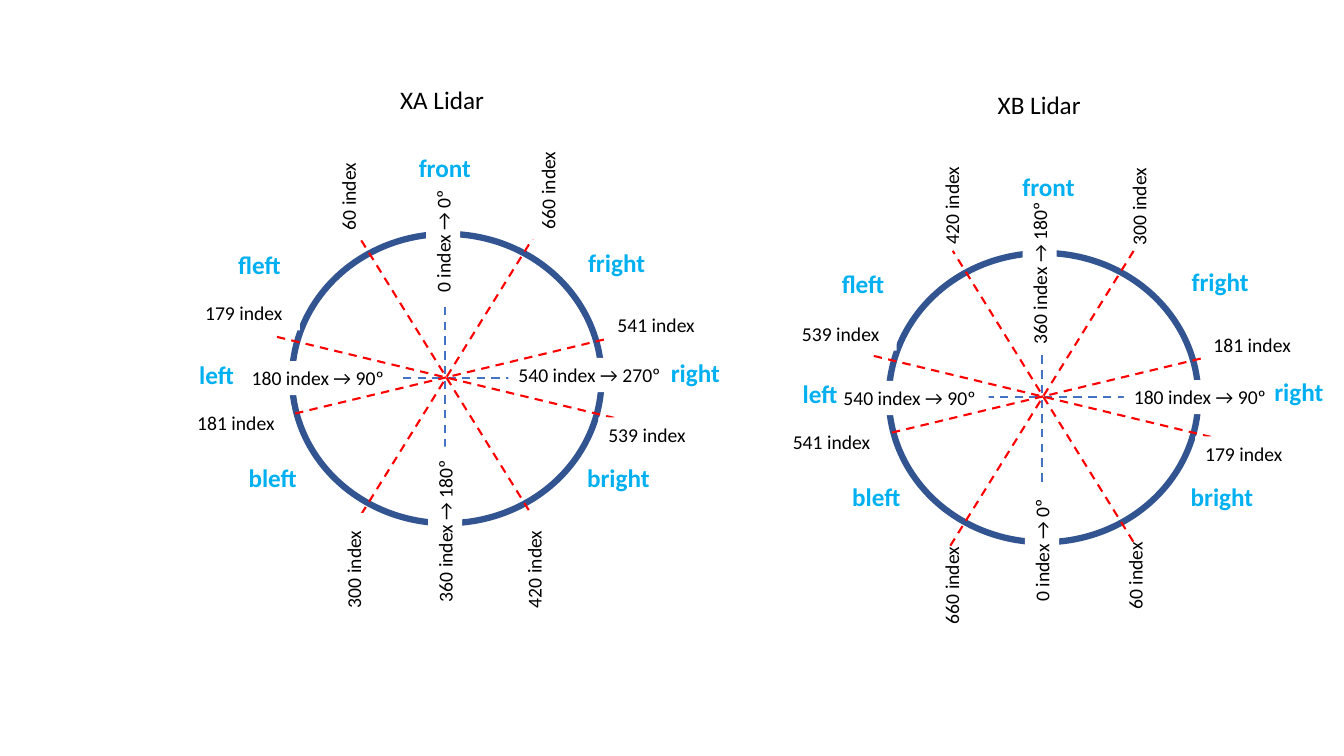
from lxml.etree import SubElement
from pptx import Presentation
from pptx.dml.color import RGBColor
from pptx.enum.dml import MSO_LINE_DASH_STYLE as DASH
from pptx.enum.shapes import MSO_CONNECTOR, MSO_SHAPE
from pptx.oxml.ns import qn
from pptx.util import Cm, Pt

BLUE, RED, RING, SKY = "4472C4", "FF0000", "325491", "00B0F0"
RING_W, RING_H = 7.8, 7.29

# All offsets are in cm from the centre of a lidar.
AXES = [(-3.7, -0.01, 4.28, -0.01), (-0.04, 3.6, -0.04, -3.32)]
SIDE_RAYS = [(-4.28, -1.05, 4.38, 1.03), (4.32, -1.07, -4.32, 1.0)]
STEEP_RAYS = [(-2.35, 3.73, 2.27, -3.7), (2.26, 3.63, -2.29, -3.7)]

# text, x, y, width
SECTORS = [
    ("front", -0.04, -5.3, 1.83),
    ("fright", 4.29, -2.93, 1.96),
    ("fleft", -4.69, -2.86, 1.63),
    ("right", 6.27, -0.14, 1.75),
    ("left", -5.78, -0.09, 1.42),
    ("bright", 4.34, 2.5, 2.11),
    ("bleft", -4.37, 2.5, 1.75),
]

# Index labels: text, x, y, width, rotation
LIDARS = [
    dict(
        title="XA Lidar", center=(11.26, 9.54), title_at=(-0.1, -7.02),
        sector_shift=0, steep_on_top=False,
        axis_labels=[
            ("180 index → 90º", -3.21, -0.01, 3.91, 0),
            ("540 index → 270º", 3.64, -0.09, 4.17, 0),
            ("0 index → 0º", -0.09, -3.52, 3.2, 270),
            ("360 index → 180º", -0.04, 3.8, 4.17, 270),
        ],
        ray_labels=[
            ("60 index", -2.48, -5.09, 3.2, 270),
            ("300 index", -2.35, 4.71, 2.64, 270),
            ("420 index", 2.2, 4.71, 2.64, 270),
            ("660 index", 2.55, -4.84, 2.64, 270),
            ("179 index", -5.02, -1.64, 2.64, 0),
            ("181 index", -5.22, 1.13, 2.64, 0),
            ("541 index", 5.37, -1.36, 2.64, 0),
            ("539 index", 5.14, 1.41, 2.64, 0),
        ],
    ),
    dict(
        title="XB Lidar", center=(26.3, 10.02), title_at=(-0.08, -7.38),
        sector_shift=0.17, steep_on_top=True,
        axis_labels=[
            ("540 index → 90º", -3.34, 0.01, 3.91, 0),
            ("180 index → 90º", 3.98, -0.01, 3.91, 0),
            ("360 index → 180º", -0.1, -3.34, 4.5, 270),
            ("0 index → 0º", -0.04, 3.82, 3.15, 270),
        ],
        ray_labels=[
            ("420 index", -2.32, -5.22, 3.2, 270),
            ("660 index", -2.32, 4.64, 2.64, 270),
            ("60 index", 2.31, 4.46, 2.26, 270),
            ("300 index", 2.4, -4.91, 2.64, 270),
            ("539 index", -5.02, -1.61, 2.64, 0),
            ("541 index", -5.25, 1.13, 2.64, 0),
            ("181 index", 5.35, -1.33, 2.64, 0),
            ("179 index", 5.14, 1.41, 2.64, 0),
        ],
    ),
]


def rgb(color):
    return RGBColor.from_string(color)


def add_text(s, text, x, y, w, h=1.03, size=18, color="000000", bold=False,
             fill=None, rotation=0):
    """Add a text box centred on (x, y)."""
    sp = s.shapes.add_textbox(Cm(x - w / 2), Cm(y - h / 2), Cm(w), Cm(h))
    sp.rotation = rotation
    if fill:
        sp.fill.solid()
        sp.fill.fore_color.rgb = rgb(fill)
    tf = sp.text_frame
    tf.word_wrap = True
    tf.margin_right = 0
    r = tf.paragraphs[0].add_run()
    r.text = text
    r.font.name = "Calibri"
    r.font.size = Pt(size)
    r.font.bold = bold
    r.font.color.rgb = rgb(color)


def add_index_labels(s, cx, cy, labels):
    for text, x, y, w, rotation in labels:
        add_text(s, text, cx + x, cy + y, w, h=0.86, size=14,
                 fill="FFFFFF", rotation=rotation)


def add_dashes(s, cx, cy, lines, color):
    for x1, y1, x2, y2 in lines:
        line = s.shapes.add_connector(MSO_CONNECTOR.STRAIGHT, Cm(cx + x1),
                                      Cm(cy + y1), Cm(cx + x2), Cm(cy + y2))
        line.line.color.rgb = rgb(color)
        line.line.width = Pt(1.5)
        line.line.dash_style = DASH.DASH
        SubElement(line._element.spPr, qn("a:effectLst"))


def add_ring(s, cx, cy):
    sp = s.shapes.add_shape(MSO_SHAPE.OVAL, Cm(cx - RING_W / 2),
                            Cm(cy - RING_H / 2), Cm(RING_W), Cm(RING_H))
    sp.shadow.inherit = False
    sp.fill.background()
    sp.line.color.rgb = rgb(RING)
    sp.line.width = Pt(4.5)


def add_lidar(s, title, center, title_at, sector_shift, steep_on_top,
              axis_labels, ray_labels):
    cx, cy = center
    add_ring(s, cx, cy)
    add_dashes(s, cx, cy, AXES, BLUE)
    add_index_labels(s, cx, cy, axis_labels)
    add_dashes(s, cx, cy, SIDE_RAYS, RED)
    if not steep_on_top:
        add_dashes(s, cx, cy, STEEP_RAYS, RED)
    add_index_labels(s, cx, cy, ray_labels)
    if steep_on_top:
        add_dashes(s, cx, cy, STEEP_RAYS, RED)
    add_text(s, title, cx + title_at[0], cy + title_at[1], 2.65)
    for text, x, y, w in SECTORS:
        add_text(s, text, cx + x + sector_shift, cy + y, w, color=SKY, bold=True)


def main():
    prs = Presentation()
    prs.slide_width, prs.slide_height = Cm(33.87), Cm(19.05)
    s = prs.slides.add_slide(prs.slide_layouts[6])
    for lidar in LIDARS:
        add_lidar(s, **lidar)
    prs.save("out.pptx")


if __name__ == "__main__":
    main()
